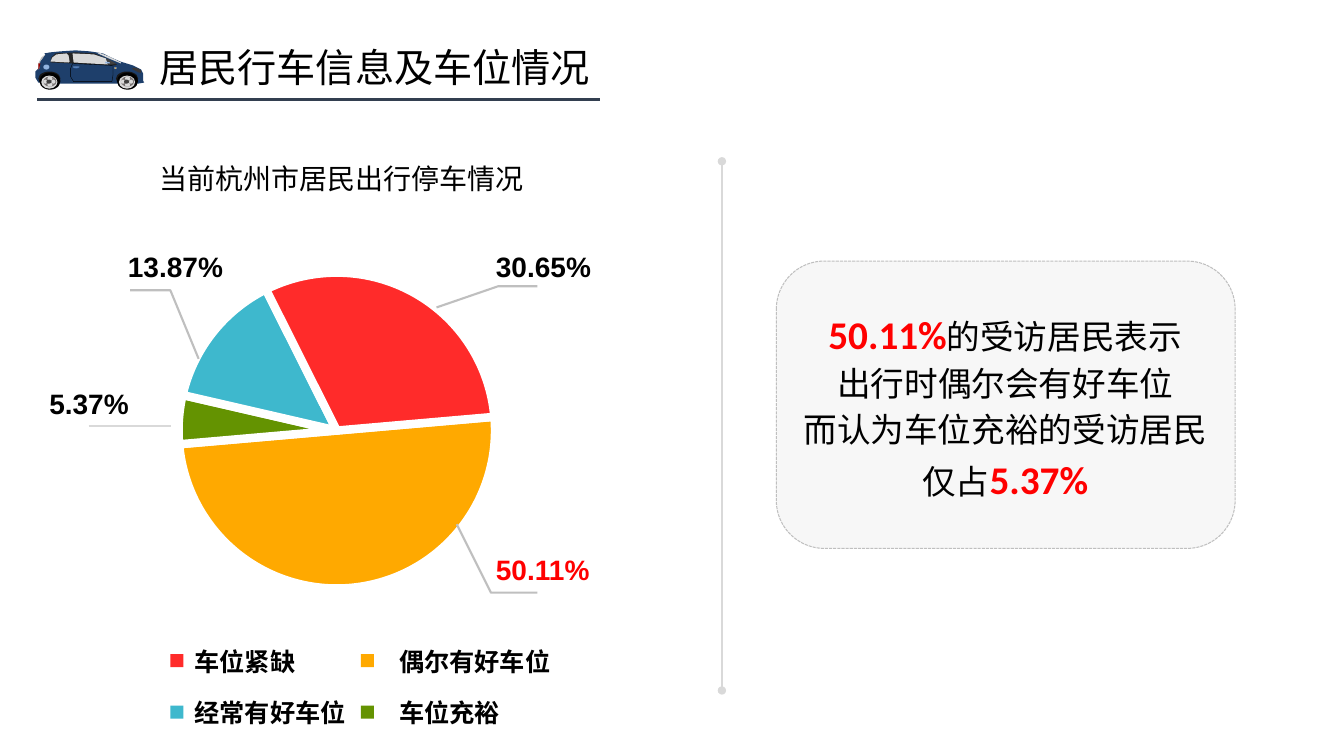
from lxml import etree
from pptx import Presentation
from pptx.chart.data import CategoryChartData
from pptx.dml.color import RGBColor
from pptx.enum.chart import XL_CHART_TYPE
from pptx.enum.dml import MSO_LINE
from pptx.enum.shapes import MSO_CONNECTOR, MSO_SHAPE
from pptx.enum.text import MSO_ANCHOR, MSO_AUTO_SIZE, PP_ALIGN
from pptx.oxml.ns import qn
from pptx.util import Pt

PX = 9144  # EMU per px, 100 px to the inch
PIE, STRAIGHT = XL_CHART_TYPE.PIE, MSO_CONNECTOR.STRAIGHT
RECT, ROUND, OVAL = MSO_SHAPE.RECTANGLE, MSO_SHAPE.ROUNDED_RECTANGLE, MSO_SHAPE.OVAL
LEFT, CENTER, TOP = PP_ALIGN.LEFT, PP_ALIGN.CENTER, MSO_ANCHOR.TOP
FIXED, GROW, DASH = MSO_AUTO_SIZE.NONE, MSO_AUTO_SIZE.SHAPE_TO_FIT_TEXT, MSO_LINE.SQUARE_DOT
THEME = {
    "text": "000000", "accent": "FF0000", "white": "FFFFFF", "navy": "333F50",
    "panel": "F7F7F7", "leader": "BFBFBF", "divider": "D9D9D9",
    "tight": "FF2B2A", "sometimes": "FFA900", "often": "3EB8CD", "ample": "649301",
    "car": "1E3F6B", "handle": "2E5FA1", "glow": "91B3E0", "frame": "262626", "glass": "D9D9D9",
    "trim": "404040", "lamp": "3B3838", "arch": "181717", "grey": "767171", "tail": "940100",
    "title_pt": 28, "number_pt": 28, "message_pt": 24, "label_pt": 20, "legend_pt": 18,
    "chart_pt": 10,
    "cjk": "Noto Sans CJK SC", "latin": "Arial", "number": "Calibri", "message": "Quicksand",
}


def paint(shape, fill=None, line=None, width=1.5):
    """Set fill and line by theme name and drop the shadow."""
    if hasattr(shape, "fill"):
        shape.shadow.inherit = False
        if fill:
            shape.fill.solid()
            shape.fill.fore_color.rgb = RGBColor.from_string(THEME[fill])
        else:
            shape.fill.background()
    else:
        etree.SubElement(shape._element.spPr, qn("a:effectLst"))
    if line:
        shape.line.color.rgb = RGBColor.from_string(THEME[line])
        shape.line.width = Pt(width)
    else:
        shape.line.fill.background()


def write(paragraph, runs, align=LEFT):
    """Fill a paragraph with (text, size, font, colour, bold) runs."""
    paragraph.alignment = align
    for text, size, font, colour, bold in runs:
        run = paragraph.add_run()
        run.text = text
        run.font.size, run.font.bold = Pt(THEME[size]), bold
        run.font.name = THEME[font]
        run.font.color.rgb = RGBColor.from_string(THEME[colour])
        east_asian = etree.SubElement(run.font._element, qn("a:ea"))
        east_asian.set("typeface", THEME["cjk"])


prs = Presentation()
prs.slide_width, prs.slide_height = 1333 * PX, 750 * PX
slide = prs.slides.add_slide(prs.slide_layouts[5])
shapes = slide.shapes

# Title
title = shapes.title
title.left, title.top, title.width, title.height = (v * PX for v in (148, 38, 550, 57))
title.text_frame.auto_size = FIXED
title.text_frame.vertical_anchor = TOP
write(title.text_frame.paragraphs[0],
      [("居民行车信息及车位情况", "title_pt", "cjk", "text", False)])

# Message panel
panel = shapes.add_shape(ROUND, 770 * PX, 259 * PX, 455 * PX, 285 * PX)
paint(panel, "panel", "leader", 0.75)
panel.line.dash_style = DASH
message = shapes.add_textbox(787 * PX, 296 * PX, 420 * PX, 209 * PX).text_frame
message.word_wrap = False
message_lines = [
    [("50.11%", True), ("的受访居民表示", False)],
    [("出行时偶尔会有好车位", False)],
    [("而认为车位充裕的受访居民", False)],
    [("仅占", False), ("5.37%", True)],
]
for i, line in enumerate(message_lines):
    paragraph = message.add_paragraph() if i else message.paragraphs[0]
    paragraph.line_spacing = 1.14
    write(paragraph, [(text, "number_pt", "number", "accent", True) if is_number
                      else (text, "message_pt", "message", "text", False)
                      for text, is_number in line], CENTER)

# Pie of parking situations, its slices parted by wide white outlines
parking = [("偶尔有好车位", 50, "sometimes"), ("车位充裕", 5, "ample"),
           ("经常有好车位", 14, "often"), ("车位紧缺", 31, "tight")]
data = CategoryChartData()
data.categories = [name for name, _, _ in parking]
data.add_series("停车情况", [value for _, value, _ in parking])
chart = shapes.add_chart(PIE, 88 * PX, 243 * PX, 518 * PX, 345 * PX, data).chart
chart.has_title = chart.has_legend = False
chart.font.size, chart.font.name = Pt(THEME["chart_pt"]), THEME["number"]
chart.font.color.rgb = RGBColor.from_string(THEME["text"])
plot = chart.plots[0]
plot.vary_by_categories = True
for i, (_, _, colour) in enumerate(parking):
    slice_format = plot.series[0].points[i].format
    slice_format.fill.solid()
    slice_format.fill.fore_color.rgb = RGBColor.from_string(THEME[colour])
    slice_format.line.color.rgb = RGBColor.from_string(THEME["white"])
    slice_format.line.width = Pt(6)

# Start angle and plot position
pie = plot._element
for old_angle in pie.findall(qn("c:firstSliceAng")):
    pie.remove(old_angle)
etree.SubElement(pie, qn("c:firstSliceAng"), val="85")
plot_area = pie.getparent()
for old_layout in plot_area.findall(qn("c:layout")):
    plot_area.remove(old_layout)
layout = etree.Element(qn("c:layout"))
plot_area.insert(0, layout)
manual = etree.SubElement(layout, qn("c:manualLayout"))
for tag, value in [("layoutTarget", "inner"), ("xMode", "edge"), ("yMode", "edge"),
                   ("x", "0.17"), ("y", "0.08"), ("w", "0.61"), ("h", "0.91")]:
    etree.SubElement(manual, qn("c:" + tag), val=value)

# Leader lines
for start, *rest in [[(197, 356), (169, 288), (129, 288)],
                     [(433, 305), (494, 284), (533, 284)],
                     [(453, 520), (487, 588), (533, 588)]]:
    builder = shapes.build_freeform(*start, scale=PX)
    builder.add_line_segments(rest, close=False)
    paint(builder.convert_to_shape(), None, "leader")

# Straight rules: short leader, title underline, divider
for x1, y1, x2, y2, colour, width in [(88, 423, 170, 423, "divider", 1.5),
                                      (37, 99, 595, 99, "navy", 2),
                                      (716, 160, 716, 685, "divider", 1.6)]:
    rule = shapes.add_connector(STRAIGHT, x1 * PX, y1 * PX, x2 * PX, y2 * PX)
    paint(rule, None, colour, width)
for end in ("a:headEnd", "a:tailEnd"):  # the divider comes last
    etree.SubElement(rule.line._get_or_add_ln(), qn(end), type="oval")

# Legend markers
for x, y, colour in [(169, 649, "tight"), (358, 649, "sometimes"),
                     (169, 700, "often"), (358, 700, "ample")]:
    paint(shapes.add_shape(RECT, x * PX, y * PX, 13 * PX, 13 * PX), colour)

# Chart heading, percentages and legend names
for x, y, w, h, text, size, font, colour, bold in [
    (148, 155, 408, 44, "当前杭州市居民出行停车情况", "label_pt", "cjk", "text", False),
    (117, 243, 118, 44, "13.87%", "label_pt", "latin", "text", True),
    (39, 379, 102, 44, "5.37%", "label_pt", "latin", "text", True),
    (482, 243, 118, 44, "30.65%", "label_pt", "latin", "text", True),
    (482, 543, 118, 44, "50.11%", "label_pt", "latin", "accent", True),
    (183, 636, 125, 40, "车位紧缺", "legend_pt", "cjk", "text", True),
    (386, 636, 195, 40, "偶尔有好车位", "legend_pt", "cjk", "text", True),
    (183, 687, 175, 40, "经常有好车位", "legend_pt", "cjk", "text", True),
    (386, 687, 142, 40, "车位充裕", "legend_pt", "cjk", "text", True),
]:
    label = shapes.add_textbox(x * PX, y * PX, w * PX, h * PX).text_frame
    label.word_wrap = True
    label.auto_size = GROW
    write(label.paragraphs[0], [(text, size, font, colour, bold)])

# Car: body, windows, door and lamps
car = shapes.add_group_shape().shapes
for fill, line, (start, *rest) in [
    ("car", None, [(44, 53), (50, 52), (60, 51), (75, 50), (89, 51), (102, 53), (110, 57),
                   (119, 61), (132, 65), (140, 69), (142, 73), (142, 80), (143, 82), (137, 83),
                   (60, 83), (38, 82), (35, 77), (35, 71), (39, 67), (40, 61), (45, 54)]),
    ("frame", None, [(55, 53), (75, 52), (94, 53), (105, 58), (116, 64), (114, 65),
                     (50, 62), (51, 57)]),
    ("glass", None, [(72, 53), (93, 54), (105, 58), (107, 64), (73, 62)]),
    ("glass", None, [(56, 54), (66, 53), (68, 55), (69, 61), (68, 62), (50, 61), (52, 57)]),
    ("trim", None, [(106, 58), (115, 63), (111, 64), (107, 64)]),
    ("glow", None, [(105, 61), (109, 62), (109, 63), (104, 63)]),
    ("car", "text", [(72, 63), (112, 65), (112, 75), (111, 81), (73, 81), (70, 76), (70, 68)]),
    ("glass", None, [(98, 52), (108, 56), (120, 62), (120, 63), (108, 58), (97, 53)]),
    ("lamp", None, [(133, 67), (137, 68), (140, 70), (140, 72), (138, 72), (132, 69), (131, 68)]),
    ("leader", None, [(45, 54), (40, 61), (39, 68), (38, 69), (38, 63), (41, 57)]),
    ("tail", None, [(38, 63), (40, 63), (39, 68), (38, 69)]),
]:
    builder = car.build_freeform(*start, scale=PX)
    builder.add_line_segments(rest)
    paint(builder.convert_to_shape(), fill, line, 0.25)

# Car: handle, fuel cap and badge, then two equal wheels
car_ovals = [(73, 66, 5, 2, "handle"), (72, 66, 7, 1, "glow"), (43, 64, 6, 5, "glow"),
             (113, 67, 3, 1, "white"), (114, 67, 1, 1, "sometimes")]
wheel = [(38, 71, 22, 14, "arch"), (39, 72, 21, 17, "text"), (41, 75, 16, 13, "glass"),
         (43, 76, 13, 10, "grey"), (47, 76, 5, 4, "glass"), (47, 82, 5, 4, "glass"),
         (43, 79, 4, 4, "glass"), (51, 79, 4, 4, "glass"), (46, 79, 5, 4, "trim")]
for wheel_offset in (0, 77):
    car_ovals += [(x + wheel_offset, y, w, h, colour) for x, y, w, h, colour in wheel]
for x, y, w, h, colour in car_ovals:
    paint(car.add_shape(OVAL, x * PX, y * PX, w * PX, h * PX), colour)

prs.save("out.pptx")
